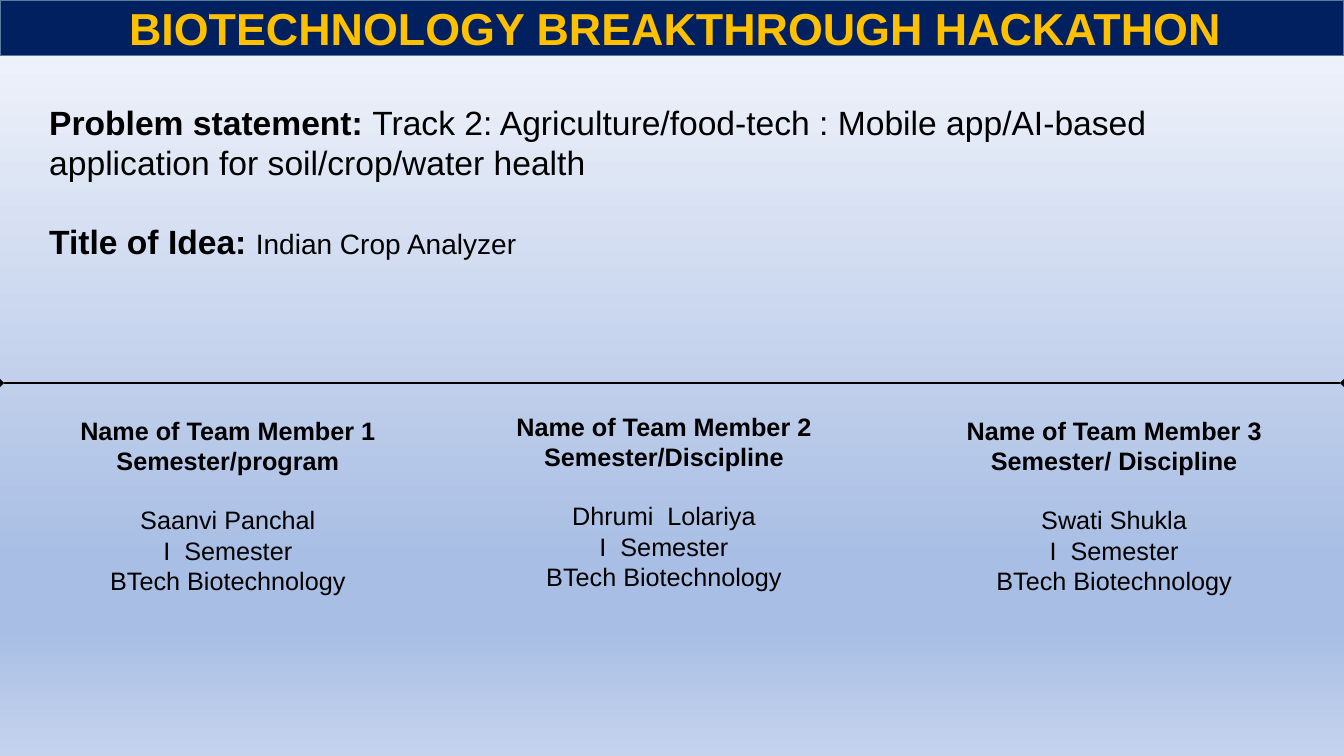
from pptx import Presentation
from pptx import util as u
from pptx.dml import color
from pptx.enum import shapes, text
from pptx.oxml import ns
from lxml import etree


def rgb(code):
    return color.RGBColor.from_string(code)


class Deck:
    font = "Arial"
    navy, gold, ink, edge = "002060", "FFC000", "000000", "567DA0"
    frame = dict(word_wrap=True, auto_size=text.MSO_AUTO_SIZE.NONE,
                 vertical_anchor=text.MSO_ANCHOR.TOP,
                 margin_left=u.Inches(0.1), margin_right=u.Inches(0.1),
                 margin_top=u.Inches(0.05), margin_bottom=u.Inches(0.05))

    def __init__(self):
        self.prs = Presentation()
        self.prs.slide_width = u.Inches(13.33)
        self.prs.slide_height = u.Inches(7.5)
        self.slide = self.prs.slides.add_slide(self.prs.slide_layouts[5])

    def style(self, item, values):
        for name, value in values.items():
            setattr(item, name, value)

    def place(self, item, box):
        sides = ("left", "top", "width", "height")
        self.style(item, dict(zip(sides, map(u.Inches, box))))

    def back(self, stops):
        fill = self.slide.background.fill
        fill.gradient()
        fill.gradient_angle = 270
        ramp = self.slide.element.find(".//" + ns.qn("a:gsLst"))
        for old in list(ramp):
            ramp.remove(old)
        for spot, code in stops:
            stop = etree.SubElement(ramp, ns.qn("a:gs"), pos=str(spot * 1000))
            etree.SubElement(stop, ns.qn("a:srgbClr"), val=code)

    def band(self, box):
        band = self.slide.shapes.add_shape(
            shapes.MSO_SHAPE.RECTANGLE, *map(u.Inches, box))
        band.shadow.inherit = False
        band.fill.solid()
        band.fill.fore_color.rgb = rgb(self.navy)
        band.line.color.rgb = rgb(self.edge)
        band.line.width = u.Pt(1)
        self.slide.shapes.element.insert(2, band.element)

    def words(self, shape, paras, align, tone):
        frame = shape.text_frame
        self.style(frame, self.frame)
        for spot, (gap, runs) in enumerate(paras):
            para = frame.paragraphs[0] if spot == 0 else frame.add_paragraph()
            self.style(para, dict(alignment=align, space_before=u.Pt(gap)))
            for label, size, bold in runs:
                run = para.add_run()
                run.text = label
                self.style(run.font, dict(name=self.font, size=u.Pt(size), bold=bold))
                run.font.color.rgb = rgb(tone)

    def title(self, box, label):
        head = self.slide.shapes.title
        self.place(head, box)
        self.words(head, [(0, [(label, 32, True)])], text.PP_ALIGN.LEFT, self.gold)

    def note(self, box, paras, align=text.PP_ALIGN.LEFT):
        shape = self.slide.shapes.add_textbox(*map(u.Inches, box))
        self.words(shape, paras, align, self.ink)

    def member(self, box, heads, facts):
        paras = [(0, [(line, 18, True)]) for line in heads]
        paras += [(0 if spot else 20.7, [(line, 18, False)])
                  for spot, line in enumerate(facts)]
        self.note(box, paras, text.PP_ALIGN.CENTER)

    def rule(self, top):
        rule = self.slide.shapes.add_connector(
            shapes.MSO_CONNECTOR.STRAIGHT, 0, u.Inches(top),
            self.prs.slide_width, u.Inches(top))
        rule.line.color.rgb = rgb(self.ink)
        rule.line.width = u.Pt(1.5)
        props = rule.element.spPr
        stroke = props.find(ns.qn("a:ln"))
        for end in ("a:headEnd", "a:tailEnd"):
            etree.SubElement(stroke, ns.qn(end), type="diamond")
        etree.SubElement(props, ns.qn("a:effectLst"))


def main():
    deck = Deck()
    deck.back([(0, "F5F7FC"), (74, "A9BEE4"), (83, "A9BEE4"), (100, "C5D3ED")])
    deck.band((0, 0, 13.33, 0.55))
    deck.title((1.18, -0.04, 12.08, 0.64), "BIOTECHNOLOGY BREAKTHROUGH HACKATHON")
    deck.note((0.39, 0.96, 12.73, 2.26), [
        (0, [("Problem statement: ", 24, True),
             ("Track 2: Agriculture/food-tech : Mobile app/AI-based "
              "application for soil/crop/water health", 24, False)]),
        (27.6, [("Title of Idea: ", 24, True), ("Indian Crop Analyzer", 20, False)])])
    team = [
        ((0.26, 4.07, 4, 2.52), "Semester/program", "Saanvi Panchal"),
        ((4.76, 4.03, 3.65, 3.13), "Semester/Discipline", "Dhrumi  Lolariya"),
        ((9.16, 4.07, 3.78, 3.43), "Semester/ Discipline", "Swati Shukla")]
    for count, (box, term, name) in enumerate(team, 1):
        deck.member(box, [f"Name of Team Member {count}", term],
                    [name, "I  Semester", "BTech Biotechnology"])
    deck.rule(3.8)
    deck.prs.save("out.pptx")


if __name__ == "__main__":
    main()
